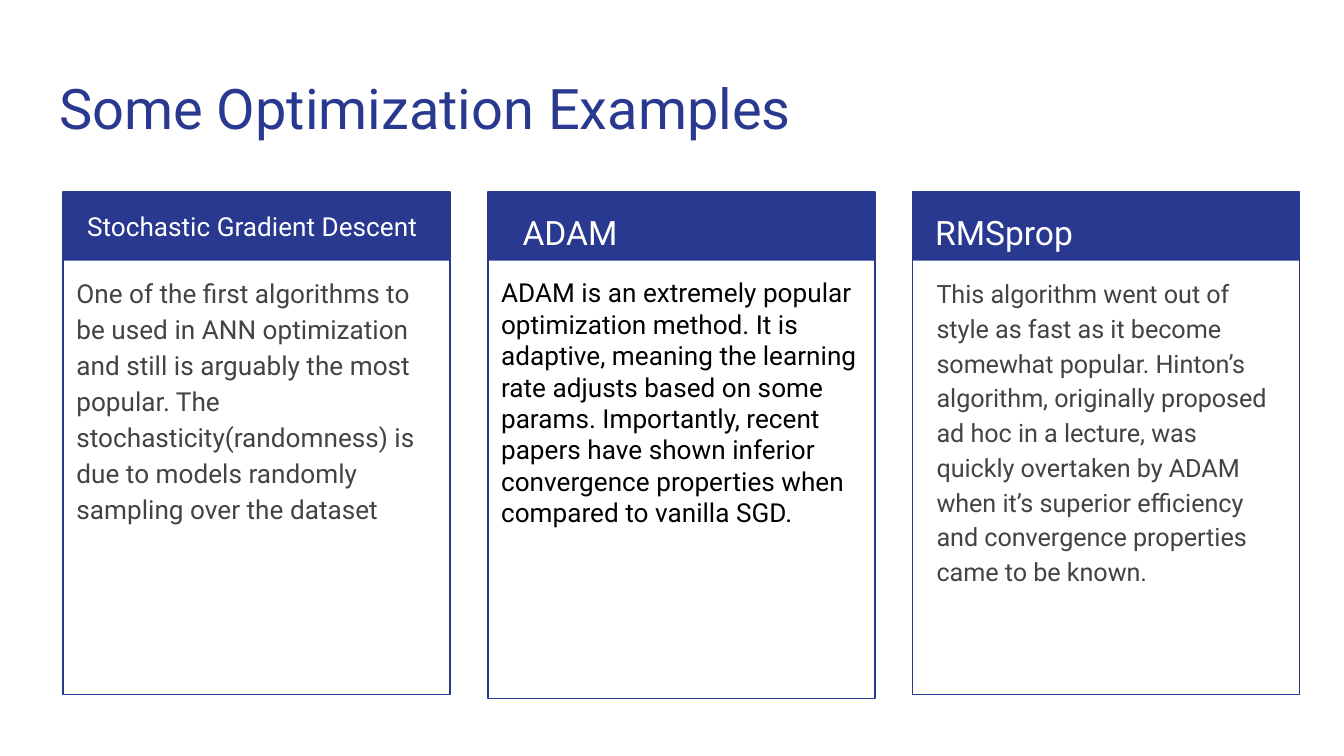
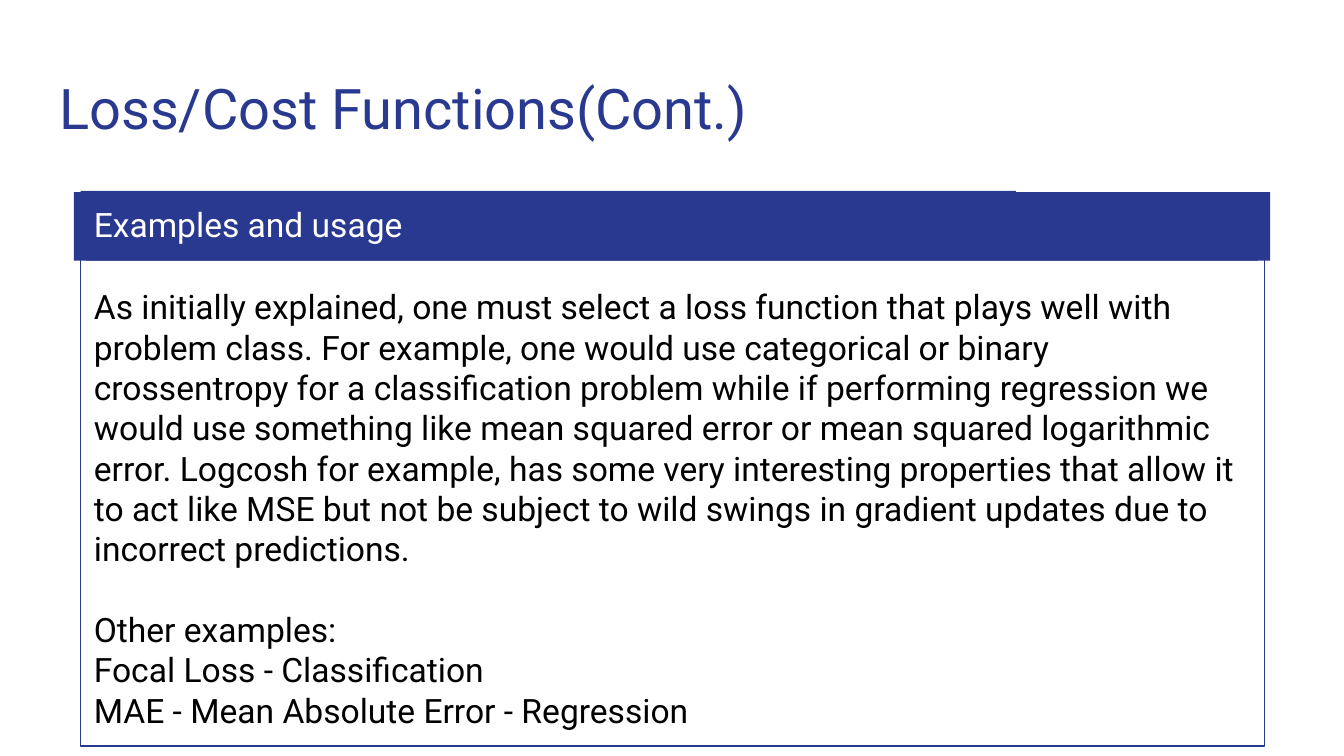
import dataclasses
import typing

import pptx
import pptx.dml.color
import pptx.enum.shapes
import pptx.enum.text
import pptx.util

Inches = pptx.util.Inches
Pt = pptx.util.Pt
RGBColor = pptx.dml.color.RGBColor
TOP = pptx.enum.text.MSO_ANCHOR.TOP
LEFT = pptx.enum.text.PP_ALIGN.LEFT
RECT = pptx.enum.shapes.MSO_SHAPE.RECTANGLE
NO_FIT = pptx.enum.text.MSO_AUTO_SIZE.NONE

# Shared look
WIDE = Inches(10)
HIGH = WIDE * 9 // 16
BLUE = RGBColor(0x2A, 0x39, 0x90)
WHITE = RGBColor(0xFF, 0xFF, 0xFF)
BLACK = RGBColor(0x00, 0x00, 0x00)
GRAY = RGBColor(0x43, 0x43, 0x43)
FONT = "Roboto"
INSET = Inches(0.1)
FRAME = {
    "word_wrap": True,
    "auto_size": NO_FIT,
    "vertical_anchor": TOP,
    "margin_left": INSET,
    "margin_right": INSET,
    "margin_top": INSET,
    "margin_bottom": INSET,
}
TITLE = (0.34, 0.45, 9.32, 0.66)
BAND_TOP, BAND_HIGH = 1.43, 0.51
CARD_LEFT, CARD_STEP, CARD_WIDE = 0.47, 3.16, 2.88
PANEL_WIDE = 8.81

Box = tuple[float, float, float, float]


@dataclasses.dataclass(frozen=True)
class Style:
    size: float
    color: RGBColor
    form: dict[str, typing.Any] = dataclasses.field(default_factory=dict)


@dataclasses.dataclass(frozen=True)
class Card:
    head: str
    head_left: float
    head_size: float
    text: str
    text_box: Box
    style: Style
    high: float = 3.74
    pad: float = 0.1


LOOSE = {"line_spacing": 1.15}
CARDS = [
    Card(
        "Stochastic Gradient Descent", 0.55, 14,
        "One of the first algorithms to be used in ANN optimization and still is "
        "arguably the most popular. The stochasticity(randomness) is due to models "
        "randomly sampling over the dataset",
        (0.47, 1.93, 2.88, 1.41),
        Style(14, GRAY, LOOSE | {"space_after": Pt(16)}),
    ),
    Card(
        "ADAM", 3.79, 18,
        "ADAM is an extremely popular optimization method. It is adaptive, meaning "
        "the learning rate adjusts based on some params. Importantly, recent papers "
        "have shown inferior convergence properties when compared to vanilla SGD.",
        (3.63, 1.43, 2.88, 3.77), Style(14, BLACK), high=3.77, pad=0.63,
    ),
    Card(
        "RMSprop", 6.86, 18,
        "This algorithm went out of style as fast as it become somewhat popular. "
        "Hinton’s algorithm, originally proposed ad hoc in a lecture, was quickly "
        "overtaken by ADAM when it’s superior efficiency and convergence properties "
        "came to be known.",
        (6.87, 1.94, 2.71, 3.06), Style(13.5, GRAY, LOOSE),
    ),
]

USAGE = (
    "As initially explained, one must select a loss function that plays well with "
    "problem class. For example, one would use categorical or binary crossentropy "
    "for a classification problem while if performing regression we would use "
    "something like mean squared error or mean squared logarithmic error. Logcosh "
    "for example, has some very interesting properties that allow it to act like "
    "MSE but not be subject to wild swings in gradient updates due to incorrect "
    "predictions."
)
OTHERS = [
    "Other examples:",
    "Focal Loss - Classification",
    "MAE - Mean Absolute Error - Regression",
]


def apply(item: typing.Any, form: dict[str, typing.Any]) -> None:
    for name, value in form.items():
        setattr(item, name, value)


def write(shape: typing.Any, lines: list[str], style: Style, pad: float = 0.1) -> None:
    frame = shape.text_frame
    apply(frame, FRAME | {"margin_top": Inches(pad)})
    for i, line in enumerate(lines):
        para = frame.paragraphs[0] if i == 0 else frame.add_paragraph()
        apply(para, {"alignment": LEFT} | style.form)
        run = para.add_run()
        run.text = line
        apply(run.font, {"name": FONT, "size": Pt(style.size)})
        run.font.color.rgb = style.color


def add_text(slide: typing.Any, box: Box, text: str, style: Style, pad: float = 0.1) -> None:
    write(slide.shapes.add_textbox(*map(Inches, box)), [text], style, pad)


def add_rect(slide: typing.Any, box: Box, solid: bool) -> typing.Any:
    """Draw a solid blue band, or an open frame with a blue line."""
    shape = slide.shapes.add_shape(RECT, *map(Inches, box))
    shape.shadow.inherit = False
    if solid:
        shape.fill.solid()
        shape.fill.fore_color.rgb = BLUE
        shape.line.fill.background()
    else:
        shape.fill.background()
        shape.line.color.rgb = BLUE
        shape.line.width = Pt(0.75)
    return shape


def add_slide(deck: typing.Any, text: str) -> typing.Any:
    slide = deck.slides.add_slide(deck.slide_layouts[5])
    title = slide.shapes.title
    apply(title, dict(zip(("left", "top", "width", "height"), map(Inches, TITLE))))
    write(title, [text], Style(30, BLUE))
    return slide


def add_card(slide: typing.Any, left: float, card: Card) -> None:
    add_rect(slide, (left, BAND_TOP, CARD_WIDE, BAND_HIGH), True)
    add_rect(slide, (left, BAND_TOP, CARD_WIDE, card.high), False)
    add_text(slide, (card.head_left, BAND_TOP, 2.73, 0.5), card.head,
             Style(card.head_size, WHITE, LOOSE))
    add_text(slide, card.text_box, card.text, card.style, card.pad)


def main() -> None:
    deck = pptx.Presentation()
    apply(deck, {"slide_width": WIDE, "slide_height": HIGH})

    # Three cards side by side
    slide = add_slide(deck, "Some Optimization Examples")
    for i, card in enumerate(CARDS):
        add_card(slide, CARD_LEFT + i * CARD_STEP, card)

    # One wide panel under a band
    slide = add_slide(deck, "Loss/Cost Functions(Cont.)")
    for left in (0.64, 0.55):
        add_rect(slide, (left, BAND_TOP, PANEL_WIDE, BAND_HIGH), True)
    panel = add_rect(slide, (0.6, 1.56, PANEL_WIDE, 3.99), False)
    write(panel, [USAGE, *OTHERS], Style(18, BLACK), pad=0.57)
    panel.text_frame.paragraphs[1].space_before = Pt(21.6)
    label = add_rect(slide, (0.6, 1.42, 6.96, 0.45), True)
    write(label, ["Examples and usage"], Style(18, WHITE))

    deck.save("out.pptx")


if __name__ == "__main__":
    main()
